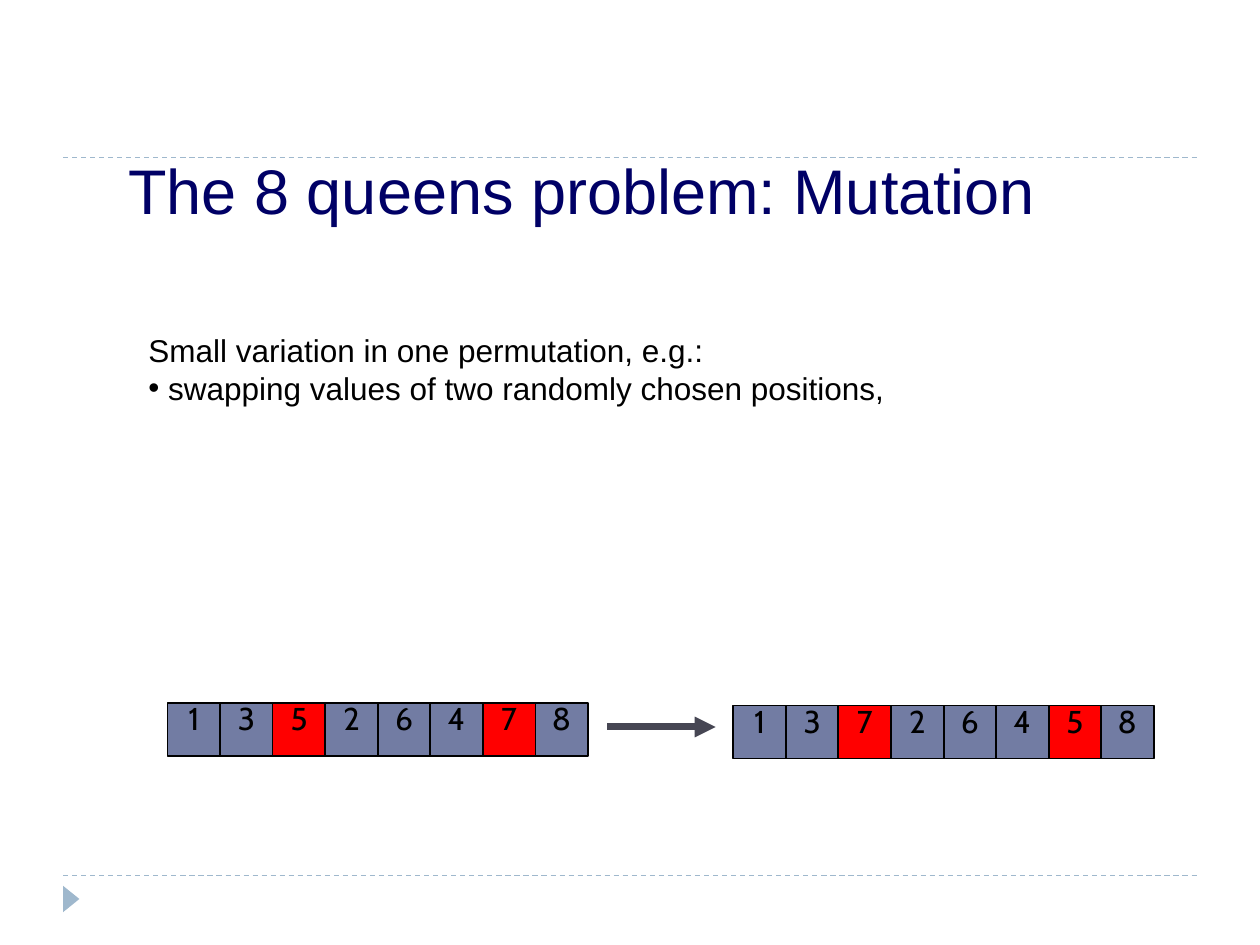
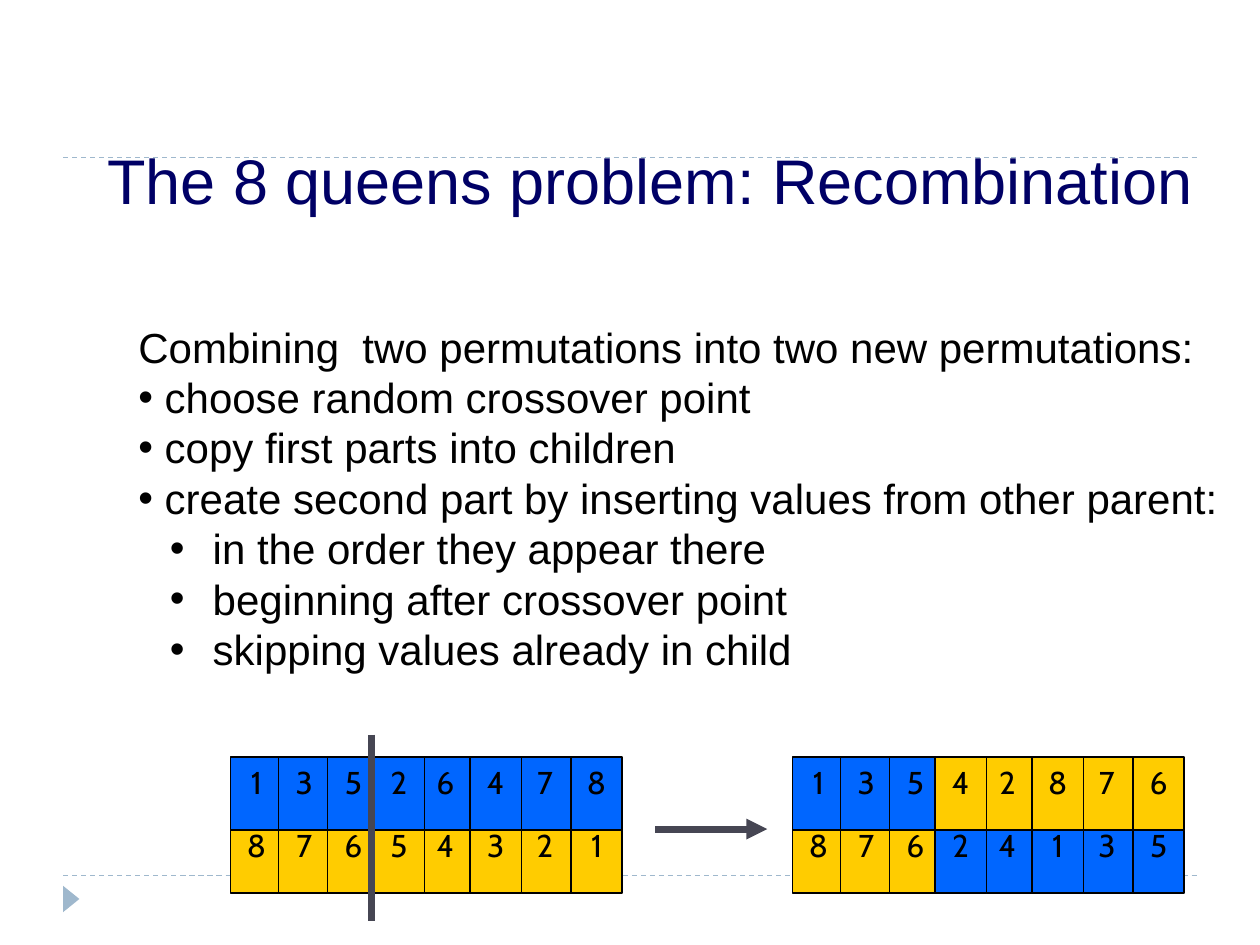
from lxml.etree import SubElement
from pptx import Presentation
from pptx.dml.color import RGBColor
from pptx.enum.dml import MSO_LINE
from pptx.enum.shapes import MSO_CONNECTOR, MSO_SHAPE
from pptx.enum.text import MSO_ANCHOR, PP_ALIGN
from pptx.oxml.ns import qn
from pptx.util import Inches, Pt

NAVY, BLACK, PALE, DARK = "000066", "000000", "9FB8CD", "464653"
SLATE, RED, BLUE, GOLD = "727CA3", "FF0000", "0066FF", "FFCC00"


def paint(color_format, hex_color):
    color_format.rgb = RGBColor.from_string(hex_color)


def draw_line(slide, start, end, color, width, dash=None, arrow=False):
    rule = slide.shapes.add_connector(
        MSO_CONNECTOR.STRAIGHT, *[Inches(v) for v in (*start, *end)])
    paint(rule.line.color, color)
    rule.line.width = Pt(width)
    if dash:
        rule.line.dash_style = dash
    if arrow:
        SubElement(rule.line._get_or_add_ln(), qn("a:tailEnd"), type="triangle")
    SubElement(rule._element.spPr, qn("a:effectLst"))


prs = Presentation()
prs.slide_width, prs.slide_height = Inches(10), Inches(7.5)

# Title and its place, body place, body size, body lines with their level
# (None is plain text, 0 and 1 are bullet levels)
pages = [
    ("The 8 queens problem: Mutation", (0.92, 0.83), (1.08, 2.58, 8.17, 0.96), 18, [
        ("Small variation in one permutation, e.g.:", None),
        ("swapping values of two randomly chosen positions,", 0),
    ]),
    ("The 8 queens problem: Recombination", (0.75, 0.75), (1, 2.5, 8.77, 3.33), 24, [
        ("Combining  two permutations into two new permutations:", None),
        ("choose random crossover point", 0),
        ("copy first parts into children", 0),
        ("create second part by inserting values from other parent:", 0),
        ("in the order they appear there", 1),
        ("beginning after crossover point", 1),
        ("skipping values already in child", 1),
    ]),
]

slides = []
for heading, (title_left, title_top), body_place, size, lines in pages:
    slide = prs.slides.add_slide(prs.slide_layouts[5])
    slides.append(slide)

    # Dashed rules and corner marker
    for y in (1.25, 6.95):
        draw_line(slide, (0.5, y), (9.5, y), PALE, 0.75, dash=MSO_LINE.DASH)
    marker = slide.shapes.add_shape(
        MSO_SHAPE.ISOSCELES_TRIANGLE, Inches(0.46), Inches(7.07), Inches(0.21), Inches(0.13))
    marker.rotation = 90
    marker.shadow.inherit = False
    marker.fill.solid()
    paint(marker.fill.fore_color, PALE)
    marker.line.fill.background()

    # Title
    title = slide.shapes.title
    title.left, title.top = Inches(title_left), Inches(title_top)
    title.width, title.height = Inches(9.08), Inches(1)
    title_frame = title.text_frame
    title_frame.text = heading
    title_frame.word_wrap = True
    title_frame.vertical_anchor = MSO_ANCHOR.BOTTOM
    title_frame.margin_bottom = Inches(0.03)
    title_line = title_frame.paragraphs[0]
    title_line.alignment = PP_ALIGN.LEFT
    title_line.line_spacing = 1.5
    title_font = title_line.runs[0].font
    title_font.name, title_font.size = "Arial", Pt(36)
    paint(title_font.color, NAVY)

    # Explanation
    body = slide.shapes.add_textbox(*[Inches(v) for v in body_place]).text_frame
    body.word_wrap = True
    body.margin_right = 0
    body.text = "\n".join(text for text, level in lines)
    for paragraph, (text, level) in zip(body.paragraphs, lines):
        font = paragraph.runs[0].font
        font.name, font.size = "Arial", Pt(size)
        paint(font.color, BLACK)
        if level is not None:
            indent = 0.34 if level else size * 0.0087
            properties = paragraph._p.get_or_add_pPr()
            properties.set("marL", str(Inches(0.59 if level else indent)))
            properties.set("indent", str(-Inches(indent)))
            SubElement(properties, qn("a:buFont"), typeface="Arial")
            SubElement(properties, qn("a:buChar"), char="•")
            paragraph.level = level

mutation, recombination = slides

# Permutation rows: slide, left, top, values, colours
mutation_colors = [SLATE, SLATE, RED, SLATE, SLATE, SLATE, RED, SLATE]
rows = [
    (mutation, 1.33, 5.58, "13526478", mutation_colors),
    (mutation, 5.82, 5.6, "13726458", mutation_colors),
    (recombination, 6.29, 6.51, "87624135", [GOLD] * 3 + [BLUE] * 5),
    (recombination, 6.29, 6.01, "13542876", [BLUE] * 3 + [GOLD] * 5),
    (recombination, 1.83, 6.51, "87654321", [GOLD] * 8),
    (recombination, 1.83, 6.01, "13526478", [BLUE] * 8),
]
even_offsets = [i * 5 / 12 for i in range(8)]
overlapping_offsets = [0, 0.38, 0.77, 1.13, 1.5, 1.9, 2.29, 2.7]
stacking = [0, 1, 2, 4, 3, 7, 6, 5]

for slide, left, top, values, colors in rows:
    if slide is mutation:
        offsets, width, height, inset = even_offsets, 0.42, 0.42, -0.03
    else:
        offsets, width, height, inset = overlapping_offsets, 0.41, 0.58, 0.05
    for i in stacking:
        gene = slide.shapes.add_shape(
            MSO_SHAPE.RECTANGLE, Inches(left + offsets[i]), Inches(top),
            Inches(width), Inches(height))
        gene.shadow.inherit = False
        gene.fill.solid()
        paint(gene.fill.fore_color, colors[i])
        paint(gene.line.color, BLACK)
        gene.line.width = Pt(1)
        frame = gene.text_frame
        frame.text = values[i]
        frame.word_wrap = False
        frame.vertical_anchor = MSO_ANCHOR.TOP
        frame.margin_top = Inches(inset)
        frame.paragraphs[0].alignment = PP_ALIGN.CENTER
        font = frame.paragraphs[0].runs[0].font
        font.name, font.size = "Cabin", Pt(18)
        paint(font.color, BLACK)

# Arrows from parents to children, and the crossover point
draw_line(mutation, (4.82, 5.77), (5.68, 5.77), DARK, 4, arrow=True)
draw_line(recombination, (5.2, 6.58), (6.09, 6.58), DARK, 4, arrow=True)
draw_line(recombination, (2.95, 5.83), (2.95, 7.31), DARK, 4)

prs.save("out.pptx")
